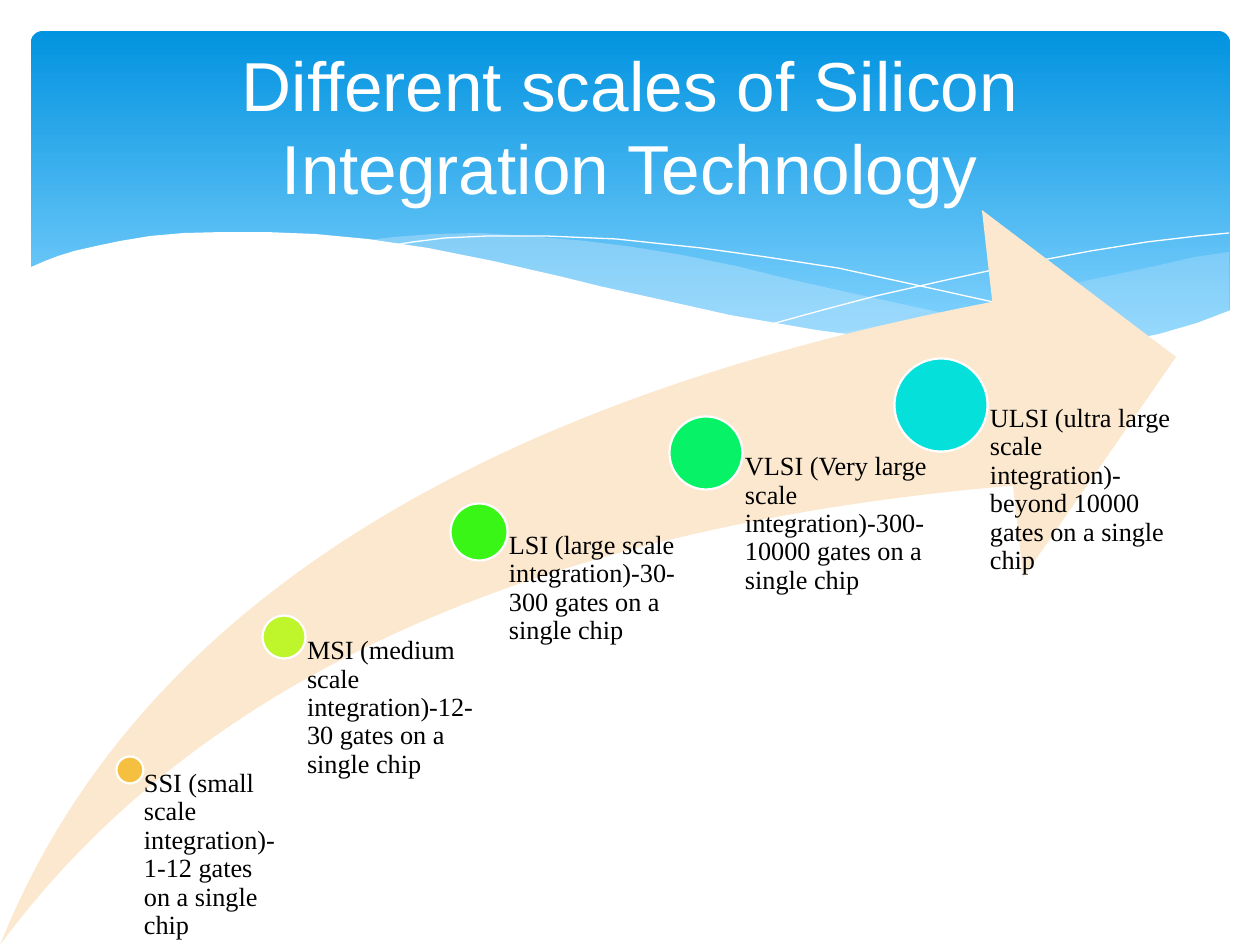
"""Builds the slide on the scales of silicon integration."""
import dataclasses

import lxml.etree
import pptx
import pptx.dml.color
import pptx.enum.shapes
import pptx.enum.text
import pptx.oxml.ns
import pptx.util

EMU_PER_PX = 914400 / 126
SHAPE = pptx.enum.shapes.MSO_SHAPE


@dataclasses.dataclass(frozen=True)
class Theme:
    white: str = "FFFFFF"
    black: str = "000000"
    sky_top: str = "0293E0"
    sky_bottom: str = "83D3FE"
    wave: str = "C6E7FC"
    arrow: str = "FBE8CF"
    title_font: str = "Arial"
    body_font: str = "Times New Roman"
    title_size: float = 39.6
    title_leading: float = 47.4
    body_size: float = 15
    ring: float = 1.25


def px(n):
    return pptx.util.Emu(round(n * EMU_PER_PX))


def rgb(color):
    return pptx.dml.color.RGBColor.from_string(color)


class Deck:
    def __init__(self, theme, width, height):
        self.theme = theme
        self.prs = pptx.Presentation()
        self.prs.slide_width, self.prs.slide_height = px(width), px(height)
        self.s = self.prs.slides.add_slide(self.prs.slide_layouts[6])

    def paint(self, sp, fill=None, line=None, width=0, opacity=100):
        sp.shadow.inherit = False
        if fill:
            sp.fill.solid()
            sp.fill.fore_color.rgb = rgb(fill)
            if opacity < 100:
                clr = sp.fill._xPr.find(".//" + pptx.oxml.ns.qn("a:srgbClr"))
                alpha = lxml.etree.SubElement(clr, pptx.oxml.ns.qn("a:alpha"))
                alpha.set("val", str(opacity * 1000))
        else:
            sp.fill.background()
        if line:
            sp.line.color.rgb = rgb(line)
            sp.line.width = pptx.util.Pt(width)
        else:
            sp.line.fill.background()

    def shape(self, kind, x, y, w, h, adjust=(), **style):
        sp = self.s.shapes.add_shape(kind, px(x), px(y), px(w), px(h))
        for i, value in enumerate(adjust):
            sp.adjustments[i] = value
        self.paint(sp, **style)
        return sp

    def gradient(self, sp, top, bottom, end):
        sp.fill.gradient()
        sp.fill.gradient_angle = 270
        for stop, color, at in zip(sp.fill.gradient_stops, (top, bottom), (0, end)):
            stop.color.rgb = rgb(color)
            stop.position = at

    def outline(self, points, close=True, **style):
        fb = self.s.shapes.build_freeform(*points[0], scale=EMU_PER_PX)
        fb.add_line_segments(points[1:], close=close)
        self.paint(fb.convert_to_shape(), **style)

    def text(self, x, y, w, h, words, font, size, color, leading,
             align=pptx.enum.text.PP_ALIGN.LEFT,
             anchor=pptx.enum.text.MSO_ANCHOR.TOP, insets=(0, 0, 0, 0)):
        tf = self.s.shapes.add_textbox(px(x), px(y), px(w), px(h)).text_frame
        tf.word_wrap, tf.vertical_anchor = True, anchor
        tf.margin_left, tf.margin_top, tf.margin_right, tf.margin_bottom = map(px, insets)
        p = tf.paragraphs[0]
        p.text, p.alignment, p.line_spacing = words, align, leading
        p.font.name, p.font.size = font, pptx.util.Pt(size)
        p.font.color.rgb = rgb(color)

    def step(self, cx, cy, d, color, w, bottom, words):
        t = self.theme
        self.shape(SHAPE.OVAL, cx - d / 2, cy - d / 2, d, d,
                   fill=color, line=t.white, width=t.ring)
        self.text(cx, cy, w, bottom - cy, words, t.body_font, t.body_size,
                  t.black, 0.9, insets=(round(d * 0.53), 0, 0, 0))


RIGHT_WAVE = [
    (1229, 252), (1195, 257), (1160, 265), (1123, 273), (1085, 281), (1014, 299),
    (949, 312), (890, 324), (833, 334), (871, 339), (922, 345), (969, 349),
    (1012, 350), (1052, 349), (1087, 347), (1120, 343), (1150, 336), (1178, 330),
    (1196, 324), (1229, 311)]
MIDDLE_WAVE = [
    (1125, 344), (1091, 339), (1017, 328), (934, 311), (842, 291), (793, 280),
    (736, 266), (682, 255), (633, 247), (586, 241), (529, 236), (479, 233),
    (433, 234), (394, 237), (360, 241), (407, 247), (456, 256), (509, 266),
    (566, 280), (668, 302), (757, 321), (819, 333), (876, 341), (927, 347),
    (974, 349), (1017, 350), (1056, 350), (1092, 348)]
FALLING_CURVE = [
    (389, 246), (413, 242), (445, 238), (488, 236), (546, 236), (616, 239),
    (701, 248), (766, 257), (838, 268), (916, 285), (1002, 304), (1095, 329),
    (1143, 343)]
RISING_CURVE = [
    (772, 324), (823, 310), (876, 296), (942, 281), (1016, 265), (1091, 251),
    (1147, 242), (1198, 236), (1229, 233)]
WHITE_WAVE = [
    (1231, 310), (1197, 323), (1159, 334), (1118, 342), (1071, 347), (1019, 349),
    (959, 347), (892, 340), (816, 330), (730, 315), (667, 301), (599, 286),
    (563, 277), (493, 261), (428, 248), (368, 239), (315, 234), (266, 232),
    (223, 232), (184, 233), (150, 236), (120, 241), (96, 246), (74, 251),
    (58, 256), (45, 261), (29, 268), (29, 415), (1231, 415)]
STEPS = [
    (130, 770, 27, "F5C040", 154,
     "SSI (small scale integration)-1-12 gates on a single chip"),
    (284, 637, 43, "BEF62B", 195,
     "MSI (medium scale integration)-12-30 gates on a single chip"),
    (479, 532, 57, "3AF617", 227,
     "LSI (large scale integration)-30-300 gates on a single chip"),
    (706, 453, 73, "07F267", 236,
     "VLSI (Very large scale integration)-300-10000 gates on a single chip"),
    (941, 405, 93, "05E0DB", 236,
     "ULSI (ultra large scale integration)-beyond 10000 gates on a single chip")]


def main():
    t = Theme()
    deck = Deck(t, 1260, 945)
    banner = deck.shape(SHAPE.ROUNDED_RECTANGLE, 31, 31, 1199, 340, adjust=(0.034,))
    deck.gradient(banner, t.sky_top, t.sky_bottom, 0.9)
    deck.outline(RIGHT_WAVE, fill=t.wave, opacity=29)
    deck.outline(MIDDLE_WAVE, fill=t.wave, opacity=40)
    for curve in (FALLING_CURVE, RISING_CURVE):
        deck.outline(curve, close=False, line=t.white)
    deck.outline(WHITE_WAVE, fill=t.white)
    deck.text(63, 39, 1134, 173, "Different scales of Silicon Integration Technology",
              t.title_font, t.title_size, t.white, pptx.util.Pt(t.title_leading),
              align=pptx.enum.text.PP_ALIGN.CENTER,
              anchor=pptx.enum.text.MSO_ANCHOR.MIDDLE, insets=(13, 0, 13, 0))
    deck.shape(SHAPE.SWOOSH_ARROW, 0, 210, 1176, 735, adjust=(0.25, 0.25), fill=t.arrow)
    for cx, cy, d, color, w, words in STEPS:
        deck.step(cx, cy, d, color, w, 945, words)
    deck.prs.save("out.pptx")


if __name__ == "__main__":
    main()
